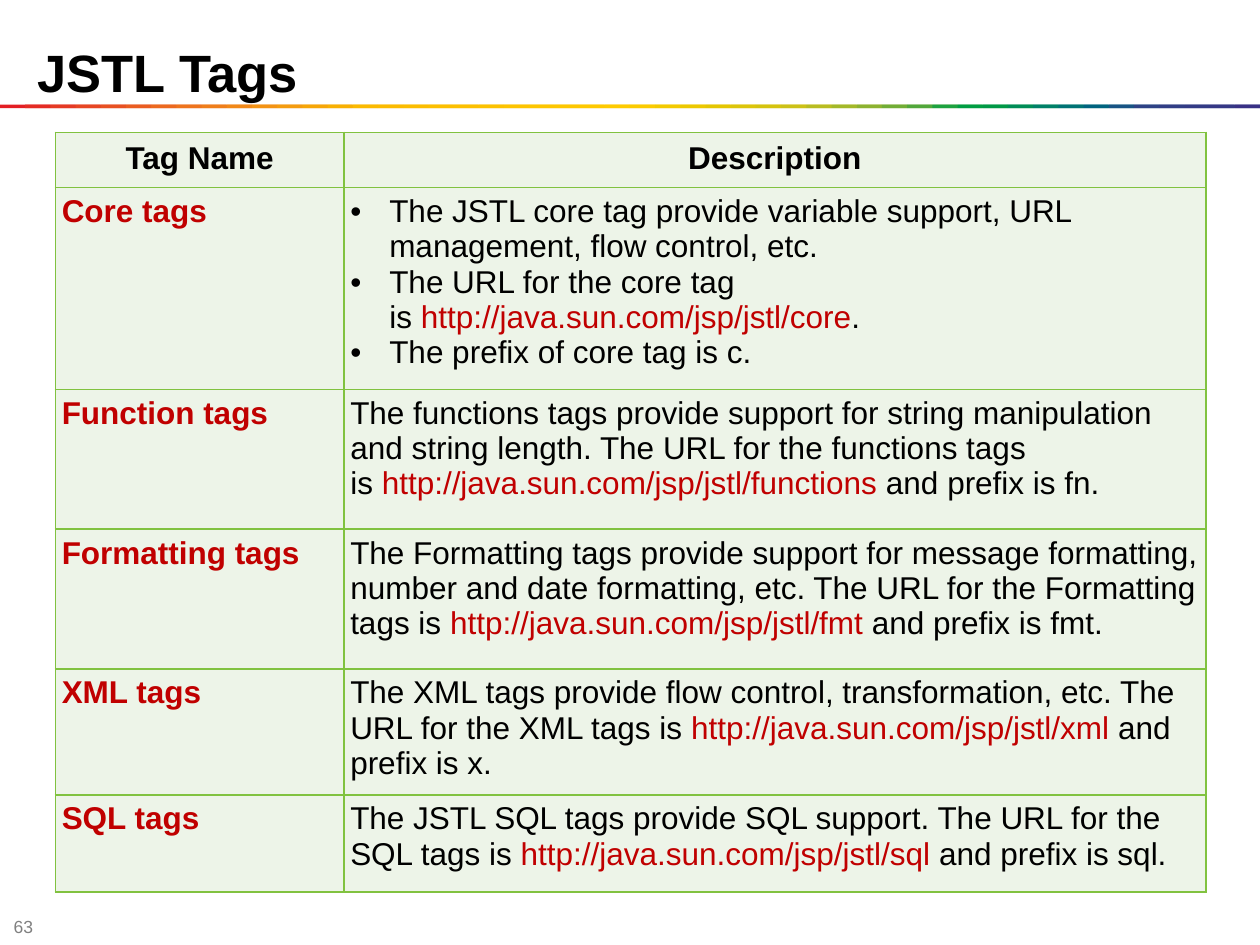
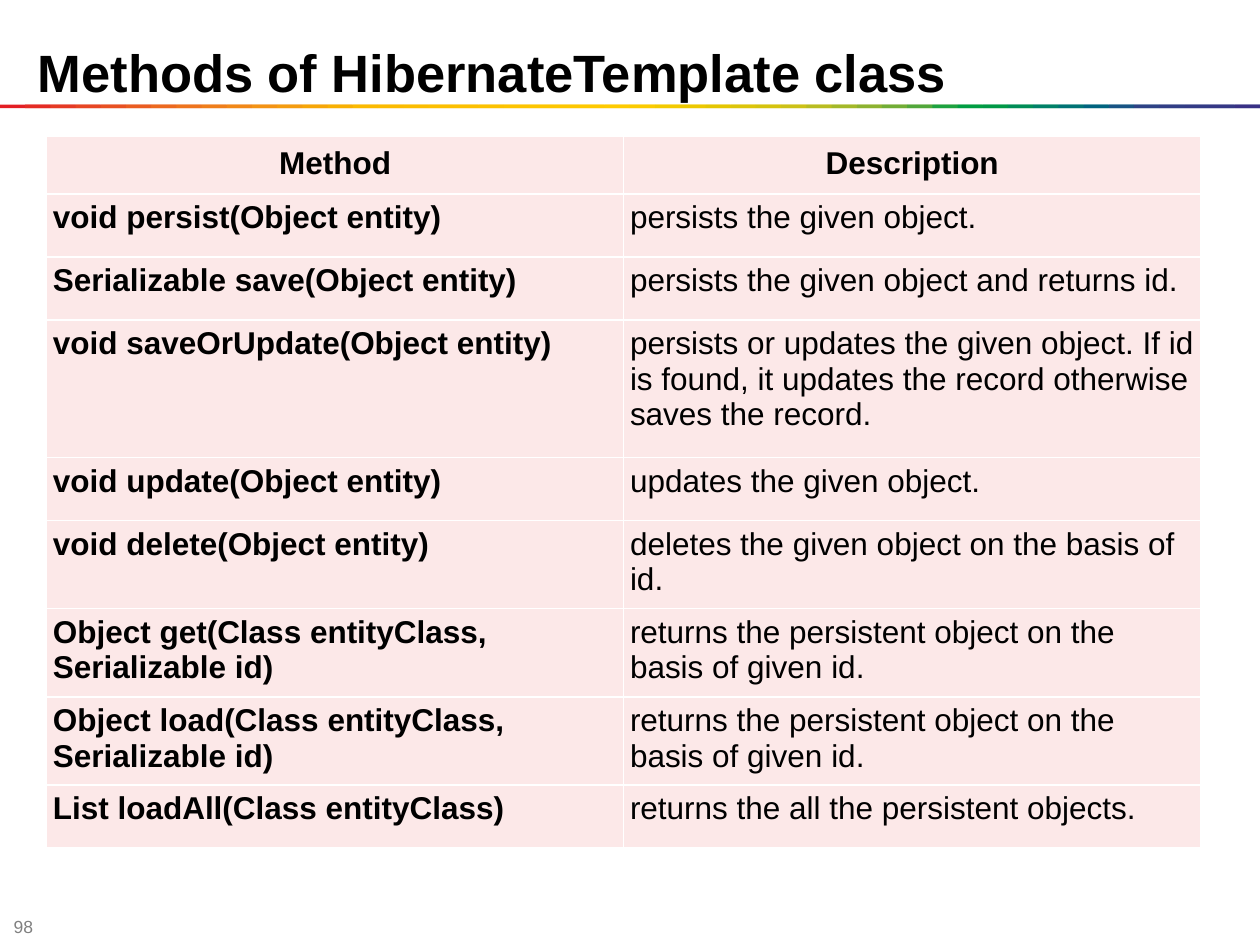
from lxml import etree
from pptx import Presentation
from pptx.dml.color import RGBColor
from pptx.enum.shapes import MSO_SHAPE as Shape
from pptx.enum.text import MSO_ANCHOR as Anchor, MSO_AUTO_SIZE as AutoSize, PP_ALIGN as Align
from pptx.oxml.ns import qn
from pptx.util import Inches, Pt

COLUMNS = 50
CELL = 10 / COLUMNS  # the grid is square: 50 columns by 37.5 rows
FONT = "Arial"
BLACK, RED, GREY = "000000", "C00000", "808080"
NBSP = chr(160)
SPECTRUM = """
    E31E24 E42C24 E53A24 E74623 E85122 EA5D21 EC691F EE741D EF7E1A F18817
    F39314 F49C0F F6A607 F8B002 FBBA00 FBBB00 FBBD00 FCBF00 FCC000 FCC200
    FDC400 FDC600 FDC700 FEC900 FECB00 FBCB00 F3CA00 ECC800 E4C602 DCC50A
    D5C30E CCC117 B8BC21 A3B829 8CB230 71AD36 51A73B 1DA240 009D43 009846
    008C57 008068 007275 00637F 185384 2E4285 313E85 333B85 353885 393185
""".split()


def grid(*counts):
    """Turn counts of grid columns or rows into lengths."""
    return [Inches(count * CELL) for count in counts]


def rgb(code):
    return RGBColor.from_string(code)


class Deck:
    def __init__(self):
        self.prs = Presentation()
        self.prs.slide_width, self.prs.slide_height = grid(COLUMNS, 37.5)
        self.slide = None

    def start_slide(self, title, number):
        self.slide = self.prs.slides.add_slide(self.prs.slide_layouts[5])
        self.number(number)
        self.spectrum_line()
        self.title(title)

    def add_text(self, paragraph, text, size, colour=BLACK, bold=False):
        run = paragraph.add_run()
        run.text = text
        run.font.name, run.font.size, run.font.bold = FONT, Pt(size), bold
        run.font.color.rgb = rgb(colour)

    def title(self, text):
        heading = self.slide.shapes.title
        heading.left, heading.top, heading.width, heading.height = grid(1, 1.3, 45, 3.05)
        frame = heading.text_frame
        frame.auto_size = AutoSize.SHAPE_TO_FIT_TEXT
        frame.vertical_anchor = Anchor.MIDDLE
        frame.paragraphs[0].alignment = Align.LEFT
        self.add_text(frame.paragraphs[0], text, 30, bold=True)

    def number(self, number):
        frame = self.slide.shapes.add_textbox(*grid(0.05, 36.35, 1.95, 0.8)).text_frame
        frame.word_wrap = True
        frame.vertical_anchor = Anchor.MIDDLE
        frame.margin_top = frame.margin_bottom = 0
        self.add_text(frame.paragraphs[0], str(number), 10, GREY)

    def spectrum_line(self):
        """Overlap each colour with the next, so that no gap shows between them."""
        line = self.slide.shapes.add_group_shape().shapes
        for column, colour in enumerate(SPECTRUM):
            width = min(2, COLUMNS - column)
            band = line.add_shape(Shape.RECTANGLE, *grid(column, 4.15, width, 0.15))
            band.shadow.inherit = False
            band.fill.solid()
            band.fill.fore_color.rgb = rgb(colour)
            band.line.fill.background()

    def table(self, left, top, widths, heights, header, rows, fill, border, header_inset):
        """Draw rows of cells; a cell is a list of paragraphs, a paragraph a list of runs."""
        table = self.slide.shapes.add_table(
            len(heights), len(widths), *grid(left, top, sum(widths), sum(heights))).table
        table.first_row = table.horz_banding = False
        for column, width in zip(table.columns, grid(*widths)):
            column.width = width
        for row, height in zip(table.rows, grid(*heights)):
            row.height = height
        headings = [[[(name, BLACK, True)]] for name in header]
        for r, contents in enumerate([headings, *rows]):
            for c, paragraphs in enumerate(contents):
                cell = table.cell(r, c)
                self.outline(cell, border)
                cell.fill.solid()
                cell.fill.fore_color.rgb = rgb(fill)
                inset = Inches(0.05 if r else header_inset)
                cell.margin_left = cell.margin_right = inset
                cell.margin_top = cell.margin_bottom = inset
                self.fill_cell(cell.text_frame, paragraphs, Align.LEFT if r else Align.CENTER)

    def fill_cell(self, frame, paragraphs, alignment):
        """Set the paragraphs, with bullets where there are several."""
        for index, runs in enumerate(paragraphs):
            paragraph = frame.add_paragraph() if index else frame.paragraphs[0]
            if len(paragraphs) > 1:
                self.bullet(paragraph)
            paragraph.alignment = alignment
            for text, colour, bold in runs:
                self.add_text(paragraph, text, 18, colour, bold)

    def bullet(self, paragraph):
        properties = paragraph._p.get_or_add_pPr()
        indent = Inches(0.31)
        properties.set("marL", str(indent))
        properties.set("indent", str(-indent))
        etree.SubElement(properties, qn("a:buFont"), typeface=FONT)
        etree.SubElement(properties, qn("a:buChar"), char="•")

    def outline(self, cell, colour):
        properties = cell._tc.get_or_add_tcPr()
        for side in ("lnL", "lnR", "lnT", "lnB"):
            edge = etree.SubElement(properties, qn(f"a:{side}"), w=str(Pt(1)))
            paint = etree.SubElement(edge, qn("a:solidFill"))
            etree.SubElement(paint, qn("a:srgbClr"), val=colour)


def plain(text):
    return [(text, BLACK, False)]


def linked(lead, library, tail):
    """Give the runs of a sentence that holds the URL of a tag library."""
    url = f"http://java.sun.com/jsp/jstl/{library}"
    return [(lead + NBSP, BLACK, False), (url, RED, False), (tail, BLACK, False)]


def tag_row(name, lead, library, prefix):
    tail = f"{NBSP}and prefix is{NBSP}{prefix}."
    return [[[(name, RED, True)]], [linked(lead, library, tail)]]


def method_row(signature, description):
    return [[[(signature, BLACK, True)]], [plain(description)]]


CORE_TAGS = [
    [[("Core tags", RED, True)]],
    [
        plain("The JSTL core tag provide variable support, URL management, flow control, etc."),
        linked("The URL for the core tag is", "core", "."),
        plain(f"The prefix of core tag is{NBSP}c."),
    ],
]
OTHER_TAGS = [
    ("Function tags", "The functions tags provide support for string manipulation and string "
     "length. The URL for the functions tags is", "functions", "fn"),
    ("Formatting tags", "The Formatting tags provide support for message formatting, number and "
     "date formatting, etc. The URL for the Formatting tags is", "fmt", "fmt"),
    ("XML tags", "The XML tags provide flow control, transformation, etc. "
     "The URL for the XML tags is", "xml", "x"),
    ("SQL tags", "The JSTL SQL tags provide SQL support. The URL for the SQL tags is",
     "sql", "sql"),
]
METHODS = [
    ("void persist(Object entity)", "persists the given object."),
    ("Serializable save(Object entity)", "persists the given object and returns id."),
    ("void saveOrUpdate(Object entity)", "persists or updates the given object. If id is found, "
     "it updates the record otherwise saves the record."),
    ("void update(Object entity)", "updates the given object."),
    ("void delete(Object entity)", "deletes the given object on the basis of id."),
    ("Object get(Class entityClass, Serializable id)",
     "returns the persistent object on the basis of given id."),
    ("Object load(Class entityClass, Serializable id)",
     "returns the persistent object on the basis of given id."),
    ("List loadAll(Class entityClass)", "returns the all the persistent objects."),
]


def main():
    deck = Deck()

    deck.start_slide("JSTL Tags", 63)
    deck.table(
        2.2, 5.25, widths=[11.45, 34.2], heights=[2.1, 7.5, 5.55, 5.55, 4.7, 3.85],
        header=["Tag Name", "Description"],
        rows=[CORE_TAGS, *(tag_row(*tag) for tag in OTHER_TAGS)],
        fill="EDF4E8", border="81C240", header_inset=0.07)

    deck.start_slide("Methods of HibernateTemplate class", 98)
    deck.table(
        1.85, 5.4, widths=[22.9] * 2,
        heights=[2.2, 2.5, 2.5, 5.45, 2.5, 3.48, 3.48, 3.48, 2.5],
        header=["Method", "Description"],
        rows=[method_row(*method) for method in METHODS],
        fill="FCE8E8", border="FFFFFF", header_inset=0.08)

    deck.prs.save("out.pptx")


if __name__ == "__main__":
    main()
